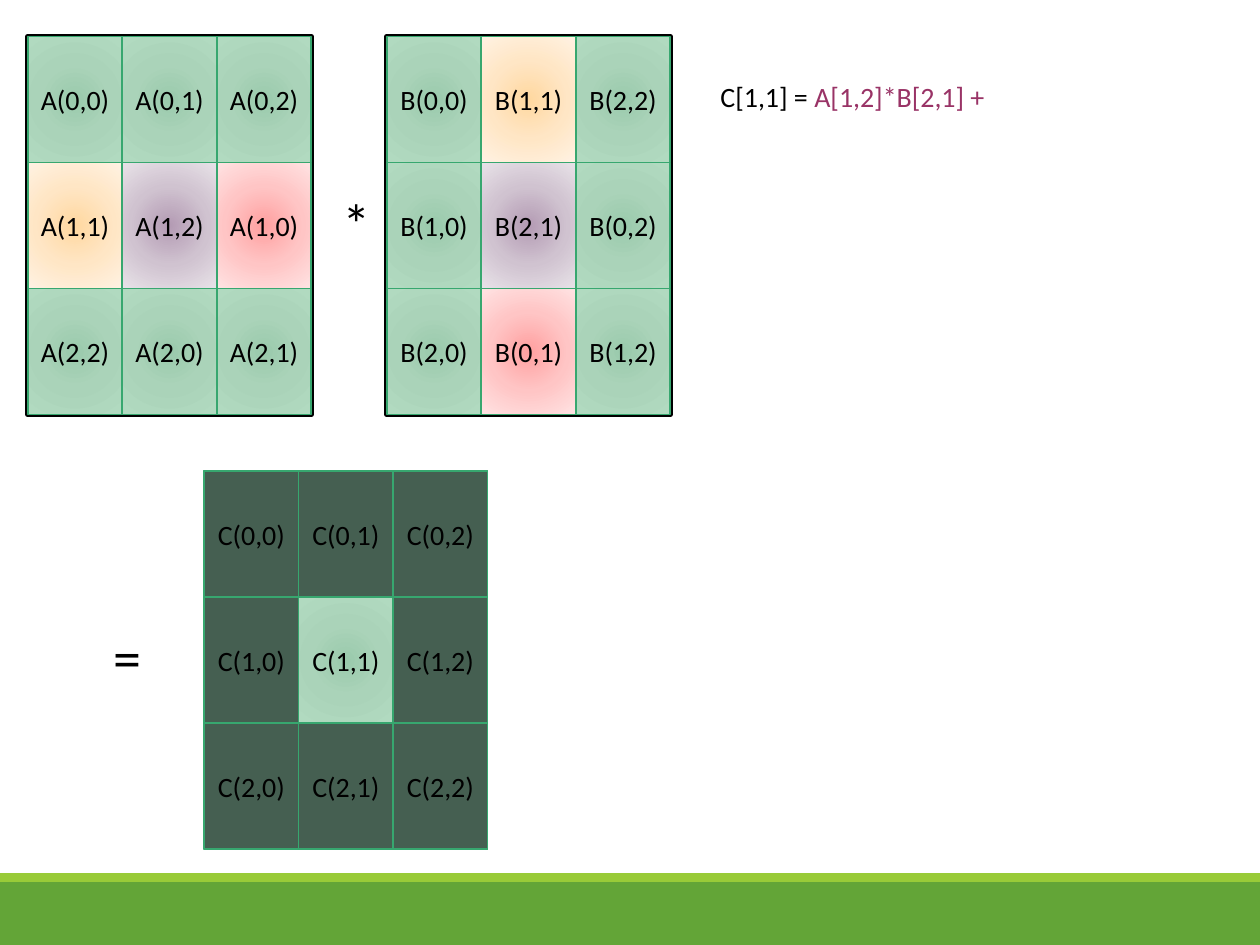
"""Builds a slide that shows one step of a skewed matrix product."""
from lxml.etree import SubElement
from pptx import Presentation
from pptx.dml.color import RGBColor
from pptx.enum.shapes import MSO_SHAPE
from pptx.enum.text import MSO_ANCHOR, PP_ALIGN
from pptx.oxml.ns import qn
from pptx.util import Inches, Pt

COLORS = {"black": "000000", "white": "FFFFFF", "edge": "37A76F",
          "dark": "455F51", "term": "993366", "band": "63A537",
          "strip": "99CB38"}
BLENDS = {"green": ((0, "9ACAAC"), (45, "AAD3B9"), (100, "B1DAC0")),
          "orange": ((0, "FFD8A0"), (50, "FFE6C5"), (100, "FFF2E3")),
          "purple": ((0, "B49BB4"), (50, "D0C3D0"), (100, "E8E2E8")),
          "red": ((0, "FFA0A0"), (50, "FFC5C5"), (100, "FFE3E3"))}
FOCUS = {"green": "100000"}
WIDE, HIGH = 10, 7.5
COL, ROW, SIDE = 0.75, 1, 3

A_KEYS = ("0,0 0,1 0,2", "1,1 1,2 1,0", "2,2 2,0 2,1")
B_KEYS = ("0,0 1,1 2,2", "1,0 2,1 0,2", "2,0 0,1 1,2")
C_KEYS = ("0,0 0,1 0,2", "1,0 1,1 1,2", "2,0 2,1 2,2")
A_TINTS = {"1,1": "orange", "1,2": "purple", "1,0": "red"}
B_TINTS = {"1,1": "orange", "2,1": "purple", "0,1": "red"}


def rgb(name):
    return RGBColor.from_string(COLORS[name])


def blend(shape, name):
    shape.fill.background()
    props = shape._element.spPr
    old = props.find(qn("a:noFill"))
    grad = SubElement(props, qn("a:gradFill"), rotWithShape="1")
    props.replace(old, grad)
    stops = SubElement(grad, qn("a:gsLst"))
    for share, tone in BLENDS[name]:
        stop = SubElement(stops, qn("a:gs"), pos=str(share * 1000))
        SubElement(stop, qn("a:srgbClr"), val=tone)
    radial = SubElement(grad, qn("a:path"), path="circle")
    focus = FOCUS.get(name, "50000")
    SubElement(radial, qn("a:fillToRect"),
               {side: focus for side in "ltrb"})


def box(shapes, x, y, w, h, fill, line=None, width=1):
    shape = shapes.add_shape(MSO_SHAPE.RECTANGLE, Inches(x), Inches(y),
                             Inches(w), Inches(h))
    shape.shadow.inherit = False
    if fill in BLENDS:
        blend(shape, fill)
    else:
        shape.fill.solid()
        shape.fill.fore_color.rgb = rgb(fill)
    if line:
        shape.line.color.rgb = rgb(line)
        shape.line.width = Pt(width)
    else:
        shape.line.fill.background()
    return shape


def write(shape, *parts, size=16, align=PP_ALIGN.LEFT,
          anchor=MSO_ANCHOR.TOP, inset=0.1):
    frame = shape.text_frame
    frame.word_wrap = True
    frame.vertical_anchor = anchor
    frame.margin_left = frame.margin_right = Inches(inset)
    para = frame.paragraphs[0]
    para.alignment = align
    for text, color in parts:
        run = para.add_run()
        run.text = text
        run.font.name = "Calibri"
        run.font.size = Pt(size)
        run.font.color.rgb = rgb(color)


def label(slide, x, y, w, h, *parts, size=16):
    frame = slide.shapes.add_textbox(Inches(x), Inches(y), Inches(w),
                                     Inches(h))
    write(frame, *parts, size=size)


def matrix(slide, name, x, y, keys, tints, base="green", back="white",
           line="black", width=3):
    shapes = slide.shapes.add_group_shape().shapes
    box(shapes, x, y, SIDE * COL, SIDE * ROW, back, line, width)
    for row, text in enumerate(keys):
        for col, key in enumerate(text.split()):
            cell = box(shapes, x + col * COL, y + row * ROW, COL, ROW,
                       tints.get(key, base), "edge")
            write(cell, (f"{name}({key})", "black"), inset=0,
                  align=PP_ALIGN.CENTER, anchor=MSO_ANCHOR.MIDDLE)


def main():
    deck = Presentation()
    deck.slide_width, deck.slide_height = Inches(WIDE), Inches(HIGH)
    slide = deck.slides.add_slide(deck.slide_layouts[6])
    box(slide.shapes, 0, 7, WIDE, 0.5, "band")
    box(slide.shapes, 0, 6.93, WIDE, 0.07, "strip")
    matrix(slide, "A", 0.22, 0.29, A_KEYS, A_TINTS)
    matrix(slide, "B", 3.07, 0.29, B_KEYS, B_TINTS)
    matrix(slide, "C", 1.62, 3.74, C_KEYS, {"1,1": "green"}, base="dark",
           back="green", line="edge", width=1)
    label(slide, 5.62, 0.58, 3.83, 0.37, ("C[1,1] = ", "black"),
          ("A[1,2]*B[2,1] +", "term"))
    label(slide, 2.62, 1.45, 0.26, 0.64, ("*", "black"), size=32)
    label(slide, 0.8, 4.89, 0.26, 0.64, ("=", "black"), size=32)
    deck.save("out.pptx")


if __name__ == "__main__":
    main()
